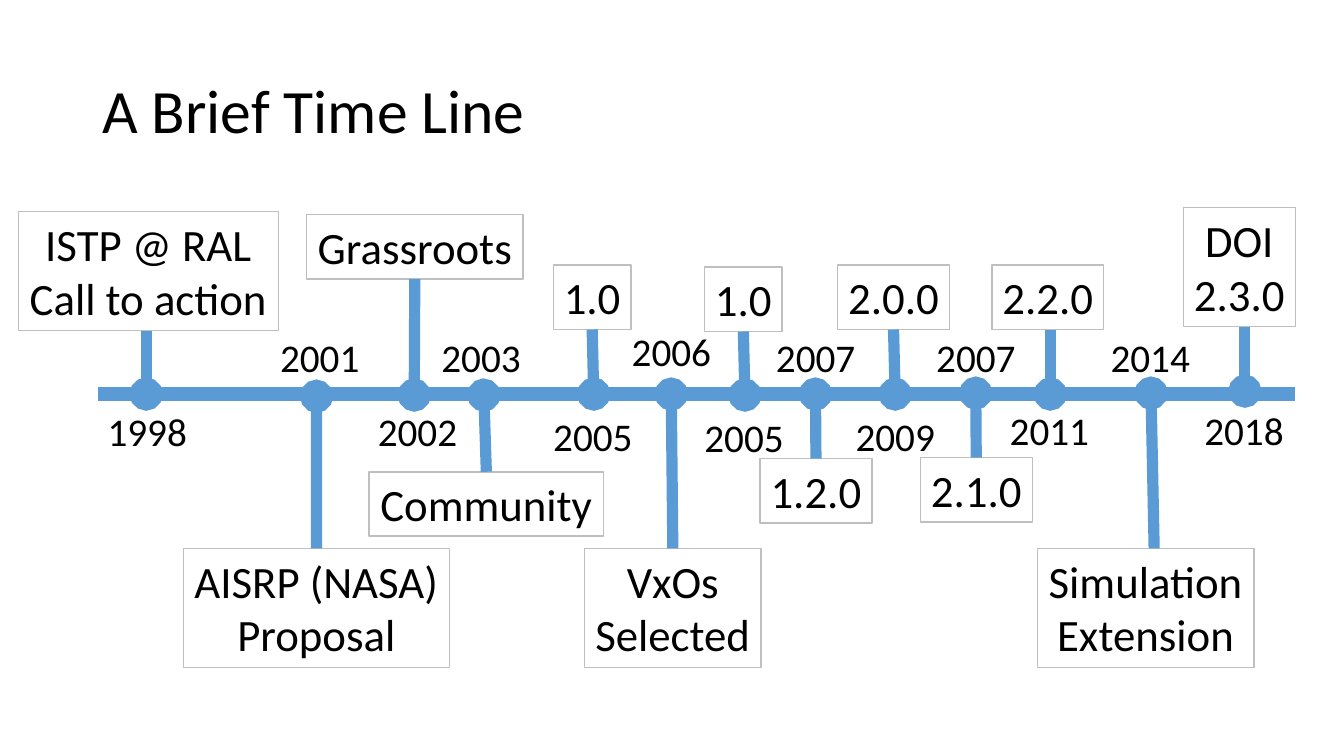
"""Build a slide with a time line of milestones above and below an axis."""
import pptx
import pptx.dml.color
import pptx.enum.shapes
import pptx.enum.text
import pptx.oxml
import pptx.util

Pt = pptx.util.Pt
ALIGN = pptx.enum.text.PP_ALIGN
ANCHOR = pptx.enum.text.MSO_ANCHOR
FONT, BLACK, BLUE, GRAY = "Calibri", "000000", "5B9BD5", "BFBFBF"
TOP, BOTTOM = 0, 2

TITLE = "A Brief Time Line"
AXIS_LEFT, AXIS_RIGHT, AXIS_Y = 69.8, 925.2, 281.5
LINE_HEIGHT, BOX_PADDING = 39, 7
YEAR_WIDTH, YEAR_HEIGHT = 72, 41
JOIN_TOLERANCE = 1.2

# year, (left, top) of year, text, (left, top, width) of box, (x, y) of dot, x of stem end
MILESTONES = [
    ("1998", (69.8, 287.3), "ISTP @ RAL\nCall to action", (13, 151.2, 185.8), (104.4, 281.5), 104.4),
    ("2001", (193, 234.7), "AISRP (NASA)\nProposal", (131, 391.7, 190.1), (226.1, 283), 226.1),
    ("2002", (262.8, 287.3), "Grassroots", (218.9, 153.4, 154.8), (295.9, 282.2), 295.9),
    ("2003", (308.2, 234.7), "Community", (263.5, 337, 167.8), (345.6, 282.2), 347),
    ("2005", (388.1, 290.9), "1.0", (395.3, 189.4, 55.4), (424.1, 281.5), 424.1),
    ("2006", (444.2, 230.4), "VxOs\nSelected", (417.6, 391.7, 126), (479.5, 281.5), 481),
    ("2005", (496.1, 291.6), "1.0", (503.3, 190.8, 55.4), (532.1, 282.2), 532.1),
    ("2009", (604.1, 290.9), "2.0.0", (598.3, 189.4, 79.9), (639.4, 281.5), 639.4),
    ("2011", (714.2, 286.6), "2.2.0", (708.5, 189.4, 79.9), (750.2, 281.5), 750.2),
    ("2007", (547.2, 234.7), "1.2.0", (542.9, 327.6, 79.9), (582.5, 281.5), 583.9),
    ("2007", (661.7, 234.7), "2.1.0", (657.4, 326.9, 79.9), (697, 280.8), 698.4),
    ("2014", (786.2, 234.7), "Simulation\vExtension", (740.9, 391.7, 154.8), (822.2, 280.8), 824.4),
    ("2018", (853.2, 286.6), "DOI\v2.3.0", (845.3, 148.3, 79.9), (889.2, 279.4), 889.2),
]


def color(value):
    return pptx.dml.color.RGBColor.from_string(value)


def write(shape, text, size, align=ALIGN.LEFT, anchor=ANCHOR.TOP, wrap=False,
          spacing=None, auto_size=pptx.enum.text.MSO_AUTO_SIZE.SHAPE_TO_FIT_TEXT):
    frame = shape.text_frame
    frame.text = text
    frame.word_wrap = wrap
    frame.auto_size = auto_size
    frame.vertical_anchor = anchor
    for paragraph in frame.paragraphs:
        paragraph.alignment = align
        paragraph.line_spacing = spacing
        for run in paragraph.runs:
            run.font.name = FONT
            run.font.size = Pt(size)
            run.font.color.rgb = color(BLACK)


def add_line(slide, start, end, width, dot=False):
    connector = slide.shapes.add_connector(
        pptx.enum.shapes.MSO_CONNECTOR.STRAIGHT, *map(Pt, start + end))
    connector.line.color.rgb = color(BLUE)
    connector.line.width = Pt(width)
    if dot:
        head = pptx.oxml.ns.qn("a:headEnd")
        connector.line._get_or_add_ln().append(
            pptx.oxml.xmlchemy.OxmlElement("a:headEnd"))
        connector.line._get_or_add_ln().find(head).set("type", "oval")
    connector._element.spPr.append(pptx.oxml.xmlchemy.OxmlElement("a:effectLst"))
    return connector


def add_milestone(slide, year, year_place, text, box_place, dot, stem_x):
    left, top, width = box_place
    height = LINE_HEIGHT * len(text.splitlines()) + BOX_PADDING
    box = slide.shapes.add_textbox(*map(Pt, (left, top, width, height)))
    box.line.color.rgb = color(GRAY)
    box.line.width = Pt(1)
    write(box, text, 32, align=ALIGN.CENTER)

    side, stem_y = (TOP, top) if top > dot[1] else (BOTTOM, top + height)
    stem = add_line(slide, dot, (stem_x, stem_y), 8, dot=True)
    if abs(left + width / 2 - stem_x) <= JOIN_TOLERANCE:
        stem.end_connect(box, side)

    label = slide.shapes.add_textbox(*map(Pt, year_place + (YEAR_WIDTH, YEAR_HEIGHT)))
    write(label, year, 28)


def main():
    presentation = pptx.Presentation()
    presentation.slide_width, presentation.slide_height = Pt(960), Pt(540)
    slide = presentation.slides.add_slide(presentation.slide_layouts[5])

    title = slide.shapes.title
    title.left, title.top, title.width, title.height = map(Pt, (66, 28.8, 828, 104.4))
    write(title, TITLE, 44, anchor=ANCHOR.MIDDLE, wrap=True, spacing=0.9,
          auto_size=pptx.enum.text.MSO_AUTO_SIZE.NONE)

    add_line(slide, (AXIS_LEFT, AXIS_Y), (AXIS_RIGHT, AXIS_Y), 10)
    for milestone in MILESTONES:
        add_milestone(slide, *milestone)
    presentation.save("out.pptx")


if __name__ == "__main__":
    main()
